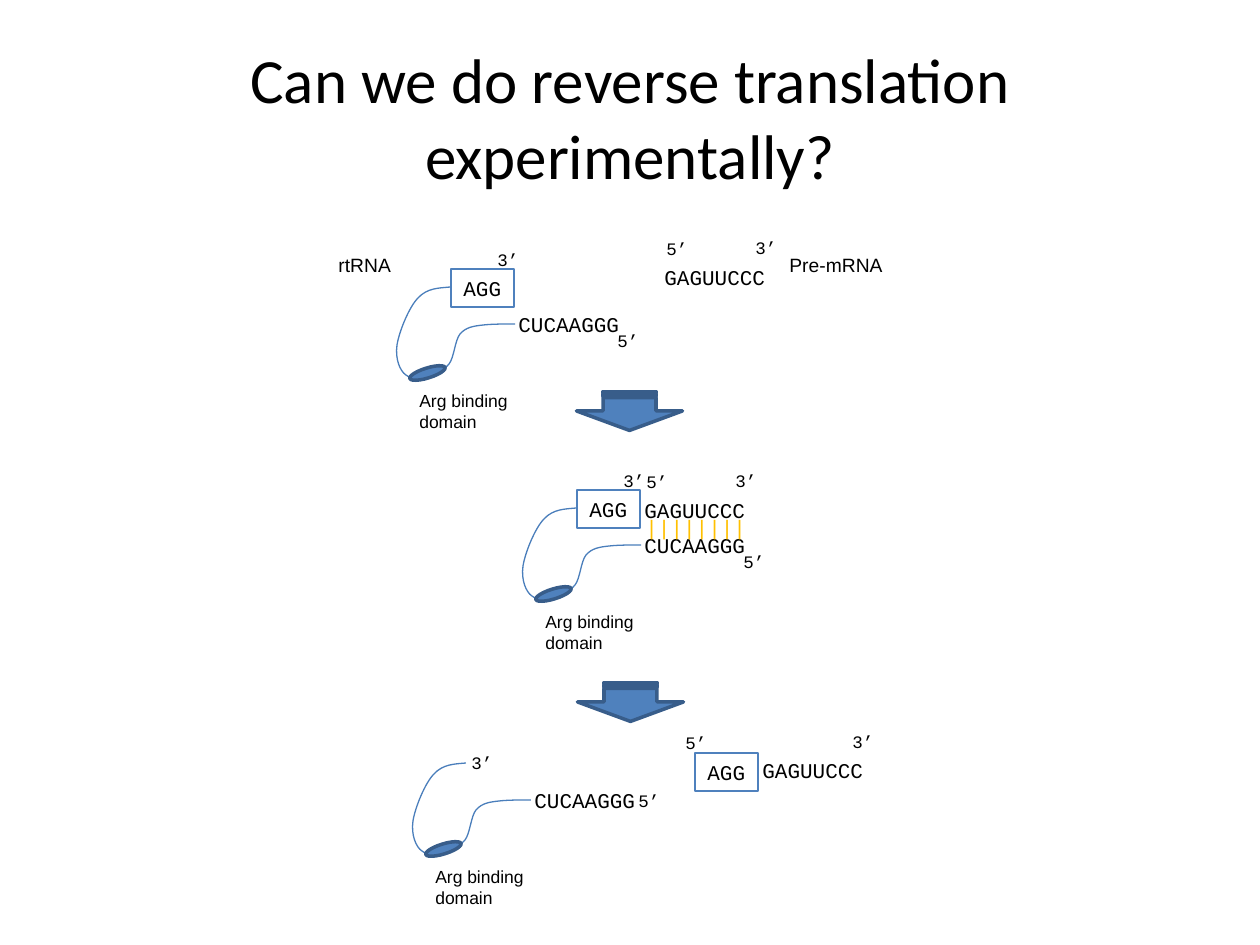
from lxml.etree import SubElement
from pptx import Presentation
from pptx.dml.color import RGBColor
from pptx.enum.shapes import MSO_SHAPE
from pptx.enum.text import MSO_ANCHOR, MSO_AUTO_SIZE, PP_ALIGN
from pptx.oxml.ns import qn
from pptx.util import Pt

PX = 914400 / 126

# kind: (width, height, font, size, colour)
KINDS = {
    "strand": (127, 38, "Courier New", 12, "000000"),
    "codon": (63, 38, "Courier New", 12, "000000"),
    "bonds": (127, 38, "Courier New", 12, "FFC000"),
    "end": (47, 34, "Courier New", 10, "000000"),
    "domain": (115, 55, "Arial", 10, "000000"),
    "rtRNA": (80, 37, "Arial", 11, "000000"),
    "mRNA": (122, 37, "Arial", 11, "000000"),
}
TITLE = "Can we do reverse translation experimentally?"

LOOSE_LABELS = [("rtRNA", "rtRNA", 326, 247), ("mRNA", "Pre-mRNA", 777, 247)]

# Hairpin origin, then its labels at offsets from that origin
BOUND = [("codon", "AGG", 54, -18), ("end", "3’", 88, -44),
         ("strand", "CUCAAGGG", 109, 18), ("end", "5’", 208, 37)]
RELEASED = [("end", "3’", 46, -17),
            ("strand", "CUCAAGGG", 109, 18), ("end", "5’", 213, 21)]
HAIRPINS = [(397, 287, BOUND), (523, 508, BOUND), (413, 763, RELEASED)]
DOMAIN = ("domain", "Arg binding\ndomain", 10, 97)

# Start point, then three points for each Bezier segment
LOOP = [(53, 0),
        (42, 1), (30, 1), (21, 11),
        (12, 20), (2, 45), (0, 58),
        (-2, 72), (3, 84), (9, 88),
        (14, 93), (27, 88), (34, 86),
        (42, 84), (47, 83), (52, 77),
        (57, 71), (58, 53), (63, 47),
        (69, 40), (77, 39), (86, 38),
        (95, 37), (107, 37), (118, 37)]

FREE_MRNA = [("end", "3’", 91, -27), ("strand", "GAGUUCCC", 0, 0),
             ("end", "5’", 2, -26)]
EXTENDED_MRNA = [("end", "3’", 90, -26), ("strand", "GAGUUCCC", 0, 0),
                 ("end", "5’", -77, -25), ("codon", "AGG", -55, 2)]
MRNAS = [(652, 258, FREE_MRNA), (632, 491, FREE_MRNA), (750, 751, EXTENDED_MRNA)]
BONDS = ("bonds", "||||||||", 633, 508)
ARROWS = [(610, 358), (611, 649)]


def px(*values):
    return [round(v * PX) for v in values]


def rgb(colour):
    return RGBColor.from_string(colour)


def style(sp, fill, line, width):
    sp.shadow.inherit = False
    if fill:
        sp.fill.solid()
        sp.fill.fore_color.rgb = rgb(fill)
    else:
        sp.fill.background()
    sp.line.color.rgb = rgb(line)
    sp.line.width = Pt(width)


def write(tf, text, font, size, colour, align=PP_ALIGN.LEFT):
    tf.text = text
    for p in tf.paragraphs:
        p.alignment = align
        for name, value in {"name": font, "size": Pt(size)}.items():
            setattr(p.font, name, value)
        p.font.color.rgb = rgb(colour)


def add_label(shapes, kind, text, x, y):
    w, h, font, size, colour = KINDS[kind]
    box = px(x, y, w, h)
    if kind == "codon":
        sp = shapes.add_shape(MSO_SHAPE.RECTANGLE, *box)
        style(sp, "FFFFFF", "4F81BD", 0.75)
    else:
        sp = shapes.add_textbox(*box)
    tf = sp.text_frame
    write(tf, text, font, size, colour)
    for name, value in {"word_wrap": False, "vertical_anchor": MSO_ANCHOR.TOP,
                        "auto_size": MSO_AUTO_SIZE.SHAPE_TO_FIT_TEXT}.items():
        setattr(tf, name, value)


def add_labels(shapes, x, y, labels):
    for kind, text, dx, dy in labels:
        add_label(shapes, kind, text, x + dx, y + dy)


def add_loop(shapes, x, y):
    """Draw LOOP as a freeform whose line points are regrouped into curves."""
    start, *points = [px(x + dx, y + dy) for dx, dy in LOOP]
    builder = shapes.build_freeform(*start)
    builder.add_line_segments(points, close=False)
    sp = builder.convert_to_shape()
    style(sp, None, "4A7EBB", 0.75)
    outline = next(sp.element.iter(qn("a:path")))
    lines = outline.findall(qn("a:lnTo"))
    for i in range(0, len(lines), 3):
        curve = SubElement(outline, qn("a:cubicBezTo"))
        for line in lines[i:i + 3]:
            curve.append(line[0])
            outline.remove(line)


def add_hairpin(shapes, x, y, labels):
    add_labels(shapes, x, y, labels)
    add_loop(shapes, x, y)
    sp = shapes.add_shape(MSO_SHAPE.OVAL, *px(x + 12, y + 81, 37, 10))
    sp.rotation = 342.7
    style(sp, "4F81BD", "385D8A", 2)
    add_labels(shapes, x, y, [DOMAIN])


def main():
    prs = Presentation()
    prs.slide_width, prs.slide_height = px(1260, 945)
    shapes = prs.slides.add_slide(prs.slide_layouts[6]).shapes

    tf = shapes.add_textbox(*px(63, 38, 1134, 157)).text_frame
    tf.word_wrap = True
    tf.vertical_anchor = MSO_ANCHOR.MIDDLE
    write(tf, TITLE, "Calibri", 36, "000000", PP_ALIGN.CENTER)

    add_labels(shapes, 0, 0, LOOSE_LABELS)
    for mrna, hairpin in zip(MRNAS, HAIRPINS):
        add_labels(shapes.add_group_shape().shapes, *mrna)
        add_hairpin(shapes.add_group_shape().shapes, *hairpin)
    add_label(shapes, *BONDS)

    for x, y in ARROWS:
        sp = shapes.add_shape(MSO_SHAPE.STRIPED_RIGHT_ARROW, *px(x, y, 39, 106))
        sp.rotation = 90
        style(sp, "4F81BD", "385D8A", 2)

    prs.save("out.pptx")


if __name__ == "__main__":
    main()
